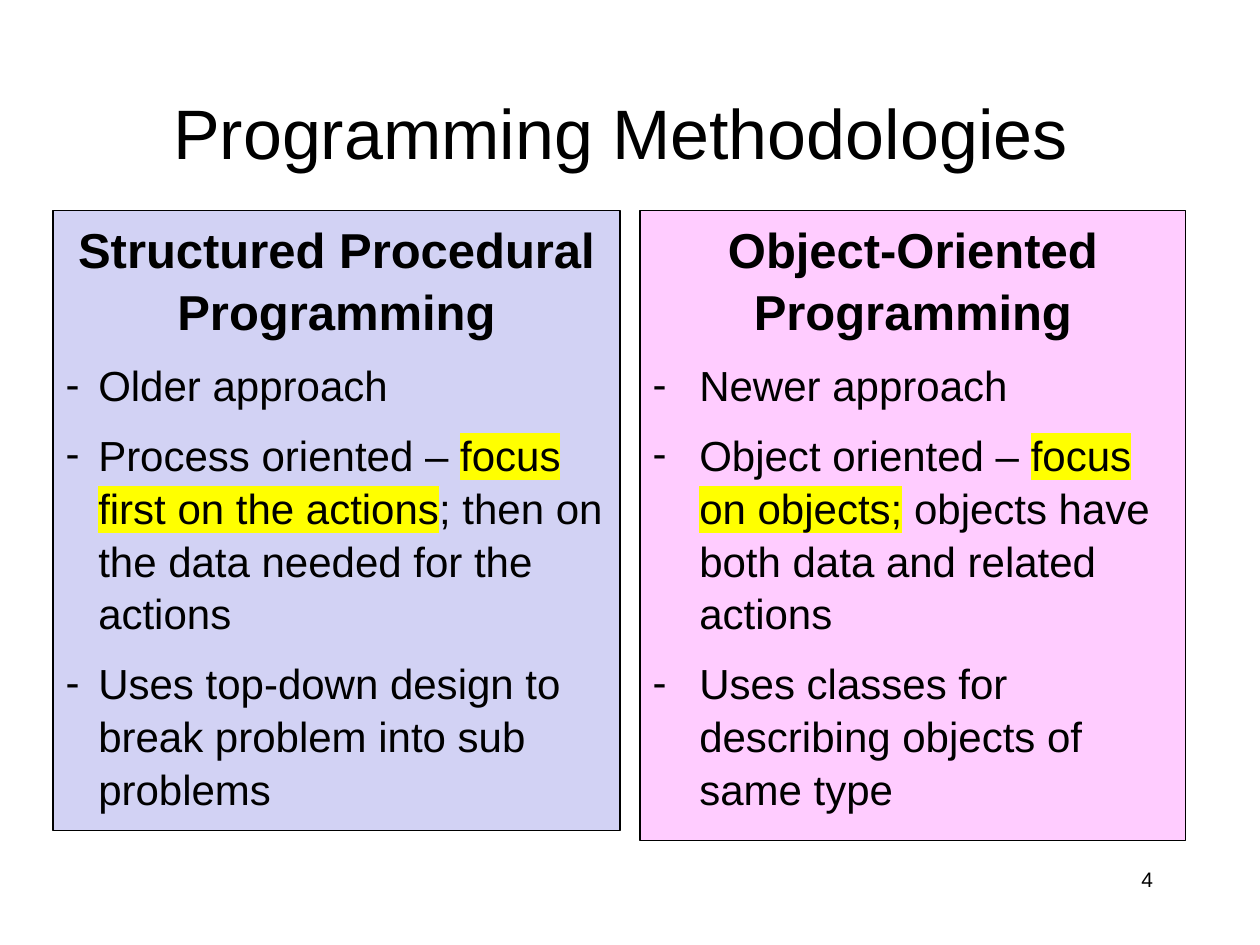
from lxml.etree import SubElement
from pptx import Presentation
from pptx.dml.color import RGBColor
from pptx.enum.text import MSO_ANCHOR, MSO_AUTO_SIZE, PP_ALIGN
from pptx.oxml.ns import qn
from pptx.util import Inches, Pt

COLORS = {
    "text": "000000",
    "line": "000000",
    "structured": "D2D2F4",
    "object": "FFCCFF",
    "highlight": "FFFF00",
}
FONT = "Arial"


def color(name):
    return RGBColor.from_string(COLORS[name])


def place(shape, box):
    shape.left, shape.top, shape.width, shape.height = map(Inches, box)


def style(paragraph, size, align, bold=False):
    paragraph.alignment = align
    font = paragraph.font
    font.name, font.size, font.bold = FONT, Pt(size), bold
    font.color.rgb = color("text")


def highlight(run):
    mark = SubElement(run._r.get_or_add_rPr(), qn("a:highlight"))
    SubElement(mark, qn("a:srgbClr"), val=COLORS["highlight"])


def add_dash(paragraph, indent):
    properties = paragraph._p.get_or_add_pPr()
    properties.set("marL", str(Inches(indent)))
    properties.set("indent", str(-Inches(indent)))
    bullet = properties.makeelement(qn("a:buChar"), {"char": "-"})
    properties.insert_element_before(bullet, "a:tabLst", "a:defRPr", "a:extLst")


def fill_title(shape, box, text):
    place(shape, box)
    frame = shape.text_frame
    frame.text = text
    frame.auto_size = MSO_AUTO_SIZE.NONE
    frame.vertical_anchor = MSO_ANCHOR.MIDDLE
    style(frame.paragraphs[0], 40, PP_ALIGN.CENTER)


def fill_panel(shape, box, fill, indent, heading, items):
    """Coloured panel: bold heading, then dashed items of (text, marked) parts."""
    place(shape, box)
    shape.fill.solid()
    shape.fill.fore_color.rgb = color(fill)
    shape.line.color.rgb = color("line")
    shape.line.width = Pt(0.75)

    frame = shape.text_frame
    frame.auto_size = MSO_AUTO_SIZE.NONE
    frame.vertical_anchor = MSO_ANCHOR.TOP
    paragraph = frame.paragraphs[0]
    paragraph.text = heading
    paragraph.space_before = Pt(0)
    paragraph.line_spacing = 1.05
    style(paragraph, 28, PP_ALIGN.CENTER, bold=True)
    properties = paragraph._p.get_or_add_pPr()
    properties.set("marL", "0")
    properties.set("indent", "0")
    bullet = properties.makeelement(qn("a:buNone"), {})
    properties.insert_element_before(bullet, "a:tabLst", "a:defRPr", "a:extLst")

    for parts in items:
        paragraph = frame.add_paragraph()
        paragraph.space_before = Pt(9.6)
        paragraph.line_spacing = 1.05
        style(paragraph, 24, PP_ALIGN.LEFT)
        add_dash(paragraph, indent)
        for text, marked in parts:
            run = paragraph.add_run()
            run.text = text
            if marked:
                highlight(run)


def add_page_number(slide, box, number):
    frame = slide.shapes.add_textbox(*map(Inches, box)).text_frame
    frame.word_wrap = True
    frame.text = number
    style(frame.paragraphs[0], 12, PP_ALIGN.RIGHT)


def main():
    presentation = Presentation()
    presentation.slide_width, presentation.slide_height = Inches(10), Inches(7.5)
    slide = presentation.slides.add_slide(presentation.slide_layouts[3])
    title, left_panel, right_panel = slide.placeholders

    # Title
    fill_title(title, (0.75, 0.42, 8.5, 1.25), "Programming Methodologies ")

    # Two approaches side by side
    fill_panel(left_panel, (0.42, 1.67, 4.5, 4.92), "structured", 0.26,
               "Structured Procedural Programming", [
                   [("Older approach", False)],
                   [("Process oriented – ", False),
                    ("focus first on the actions", True),
                    ("; then on the data needed for the actions", False)],
                   [("Uses top-down design to break problem into sub problems", False)],
               ])
    fill_panel(right_panel, (5.08, 1.67, 4.33, 5), "object", 0.37,
               "Object-Oriented Programming", [
                   [("Newer approach", False)],
                   [("Object oriented – ", False),
                    ("focus on objects;", True),
                    (" objects have both data and related actions", False)],
                   [("Uses classes for describing objects of same type", False)],
               ])

    # Page number
    add_page_number(slide, (7.17, 6.83, 2.08, 0.5), "4")

    presentation.save("out.pptx")


if __name__ == "__main__":
    main()
